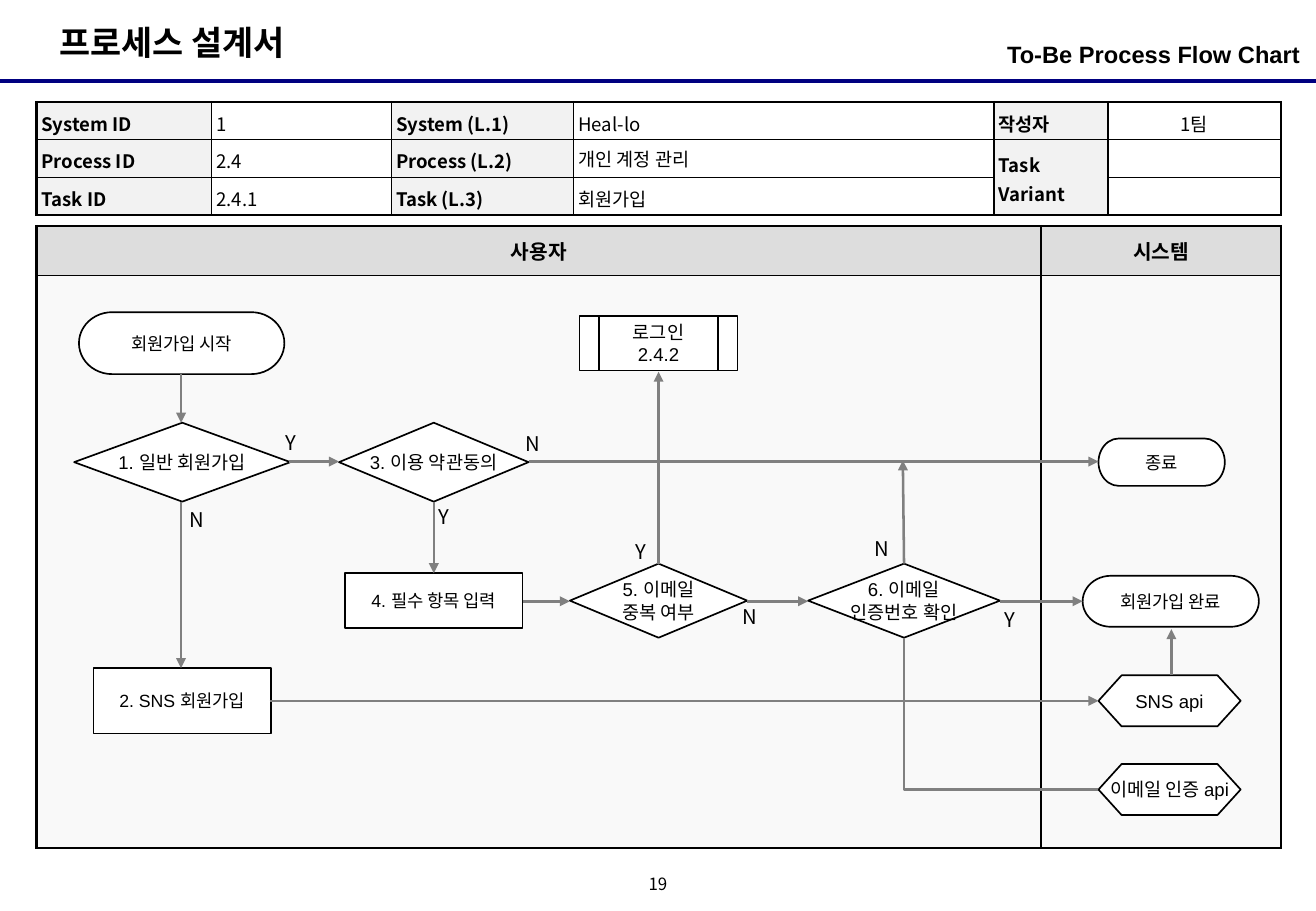
from typing import NamedTuple

import pptx
import pptx.dml.color
import pptx.enum.shapes
import pptx.enum.text
import pptx.oxml
import pptx.oxml.ns
import pptx.util

Inches = pptx.util.Inches
Pt = pptx.util.Pt
RGBColor = pptx.dml.color.RGBColor
Shape = pptx.enum.shapes.MSO_SHAPE
Align = pptx.enum.text.PP_ALIGN
Anchor = pptx.enum.text.MSO_ANCHOR
qn = pptx.oxml.ns.qn

BLACK = RGBColor(0x00, 0x00, 0x00)
WHITE = RGBColor(0xFF, 0xFF, 0xFF)
NAVY = RGBColor(0x00, 0x00, 0x80)
GRAY = RGBColor(0x80, 0x80, 0x80)
LABEL_FILL = RGBColor(0xF2, 0xF2, 0xF2)
LANE_HEADER = RGBColor(0xDD, 0xDD, 0xDD)
LANE_BODY = RGBColor(0xF9, 0xF9, 0xF9)
KOREAN = "Noto Sans CJK KR"
LATIN = "Arial"


class Node(NamedTuple):
    kind: int
    left: float
    top: float
    width: float
    height: float
    text: str
    size: float = 11


class Label(NamedTuple):
    text: str
    left: float
    top: float


class Arrow(NamedTuple):
    x1: float
    y1: float
    x2: float
    y2: float


NODES = [
    Node(Shape.FLOWCHART_TERMINATOR, 0.65, 2.57, 1.69, 0.51, "회원가입 시작", 10.5),
    Node(Shape.FLOWCHART_DECISION, 0.61, 3.48, 1.78, 0.65, "1. 일반 회원가입"),
    Node(Shape.RECTANGLE, 0.77, 5.5, 1.46, 0.54, "2. SNS 회원가입", 10.5),
    Node(Shape.FLOWCHART_DECISION, 2.79, 3.48, 1.56, 0.65, "3. 이용 약관동의"),
    Node(Shape.RECTANGLE, 2.84, 4.72, 1.46, 0.45, "4. 필수 항목 입력", 10.5),
    Node(Shape.FLOWCHART_DECISION, 4.69, 4.64, 1.46, 0.61, "5. 이메일\n중복 여부"),
    Node(Shape.FLOWCHART_DECISION, 6.65, 4.64, 1.58, 0.61, "6. 이메일\n인증번호 확인"),
    Node(Shape.FLOWCHART_TERMINATOR, 9.04, 3.61, 1.04, 0.39, "종료", 10.5),
    Node(Shape.FLOWCHART_TERMINATOR, 8.91, 4.74, 1.45, 0.42, "회원가입 완료", 10.5),
    Node(Shape.HEXAGON, 9.04, 5.56, 1.17, 0.42, "SNS api"),
    Node(Shape.HEXAGON, 9.04, 6.29, 1.17, 0.42, "이메일 인증 api"),
]
LOGIN = Node(Shape.FLOWCHART_PREDEFINED_PROCESS, 4.77, 2.6, 1.3, 0.45, "로그인\n2.4.2")
LABELS = [
    Label("Y", 2.25, 3.49), Label("N", 1.46, 4.13),
    Label("N", 4.23, 3.5), Label("Y", 3.51, 4.1),
    Label("Y", 5.13, 4.39), Label("N", 6.01, 4.93),
    Label("N", 7.1, 4.37), Label("Y", 8.17, 4.95),
]
ARROWS = [
    Arrow(1.49, 3.08, 1.49, 3.48), Arrow(1.49, 4.13, 1.49, 5.5),
    Arrow(2.38, 3.8, 2.79, 3.8), Arrow(4.35, 3.8, 9.04, 3.8),
    Arrow(3.57, 4.13, 3.57, 4.72), Arrow(4.3, 4.95, 4.69, 4.95),
    Arrow(6.15, 4.95, 6.65, 4.95), Arrow(8.23, 4.95, 8.91, 4.95),
    Arrow(2.22, 5.77, 9.04, 5.77), Arrow(9.64, 5.56, 9.64, 5.18),
    Arrow(5.42, 4.64, 5.42, 3.06), Arrow(7.44, 4.64, 7.43, 3.79),
]
INFO = [
    ["System ID", "1", "System (L.1)", "Heal-lo", "작성자", "1팀"],
    ["Process ID", "2.4", "Process (L.2)", "개인 계정 관리", "Task Variant", ""],
    ["Task ID", "2.4.1", "Task (L.3)", "회원가입", "", ""],
]


def format_text(frame, size: float, font: str = KOREAN, bold: bool = False,
                align: int = Align.LEFT) -> None:
    for paragraph in frame.paragraphs:
        paragraph.alignment = align
        for run in paragraph.runs:
            run.font.size = Pt(size)
            run.font.name = font
            run.font.bold = bold
            run.font.color.rgb = BLACK
            east_asian = pptx.oxml.parse_xml(
                f'<a:ea {pptx.oxml.ns.nsdecls("a")} typeface="{KOREAN}"/>')
            run.font._element.find(qn("a:latin")).addnext(east_asian)


def set_margins(target, side: float, vertical: float) -> None:
    target.margin_left = target.margin_right = Inches(side)
    target.margin_top = target.margin_bottom = Inches(vertical)


def add_text(slide, left: float, top: float, width: float, height: float, text: str,
             size: float, wrap: bool = True, **style):
    frame = slide.shapes.add_textbox(
        Inches(left), Inches(top), Inches(width), Inches(height)).text_frame
    frame.word_wrap = wrap
    frame.text = text
    format_text(frame, size, **style)
    return frame


def add_line(slide, line: Arrow, color: RGBColor, width: float, arrow: bool = True) -> None:
    connector = slide.shapes.add_connector(
        pptx.enum.shapes.MSO_CONNECTOR.STRAIGHT,
        Inches(line.x1), Inches(line.y1), Inches(line.x2), Inches(line.y2))
    connector.line.color.rgb = color
    connector.line.width = Pt(width)
    properties = connector._element.spPr
    if arrow:
        properties.find(qn("a:ln")).append(pptx.oxml.parse_xml(
            f'<a:tailEnd {pptx.oxml.ns.nsdecls("a")} type="triangle"/>'))
    properties.append(pptx.oxml.parse_xml(f'<a:effectLst {pptx.oxml.ns.nsdecls("a")}/>'))


def add_node(slide, node: Node) -> None:
    shape = slide.shapes.add_shape(node.kind, Inches(node.left), Inches(node.top),
                                   Inches(node.width), Inches(node.height))
    shape.shadow.inherit = False
    shape.fill.solid()
    shape.fill.fore_color.rgb = WHITE
    shape.line.color.rgb = BLACK
    shape.line.width = Pt(1)
    if node.kind == Shape.HEXAGON:
        shape.adjustments[0] = 0.453
    frame = shape.text_frame
    frame.word_wrap = node.kind not in (Shape.FLOWCHART_DECISION, Shape.HEXAGON)
    frame.vertical_anchor = Anchor.MIDDLE
    set_margins(frame, 0.02, 0)
    frame.text = node.text
    format_text(frame, node.size, LATIN, align=Align.CENTER)


def add_grid(slide, left: float, top: float, columns: list[float], rows: list[float],
             inner: float):
    table = slide.shapes.add_table(
        len(rows), len(columns), Inches(left), Inches(top),
        Inches(sum(columns)), Inches(sum(rows))).table
    table.first_row = table.horz_banding = False
    for column, width in zip(table.columns, columns):
        column.width = Inches(width)
    for row, height in zip(table.rows, rows):
        row.height = Inches(height)
    # Thick frame, thinner inner rules
    for r in range(len(rows)):
        for c in range(len(columns)):
            edges = {"L": c == 0, "R": c == len(columns) - 1,
                     "T": r == 0, "B": r == len(rows) - 1}
            properties = table.cell(r, c)._tc.get_or_add_tcPr()
            for side, outer in edges.items():
                thick = outer or (len(columns) == 2 and side in "LR")
                properties.append(pptx.oxml.parse_xml(
                    f'<a:ln{side} {pptx.oxml.ns.nsdecls("a")} w="{Pt(1.5 if thick else inner)}">'
                    f'<a:solidFill><a:srgbClr val="{BLACK}"/></a:solidFill></a:ln{side}>'))
    return table


def fill_cell(cell, color: RGBColor) -> None:
    cell.fill.solid()
    cell.fill.fore_color.rgb = color


def add_lanes(slide) -> None:
    table = add_grid(slide, 0.3, 1.86, [8.27, 1.97], [0.41, 4.71], 0.75)
    for c, title in enumerate(["사용자", "시스템"]):
        header = table.cell(0, c)
        header.text_frame.text = title
        header.vertical_anchor = Anchor.MIDDLE
        format_text(header.text_frame, 12, bold=True, align=Align.CENTER)
        fill_cell(header, LANE_HEADER)
        fill_cell(table.cell(1, c), LANE_BODY)


def add_info(slide) -> None:
    table = add_grid(slide, 0.3, 0.84, [1.44, 1.48, 1.5, 3.46, 0.94, 1.42], [0.31] * 3, 1)
    for r, values in enumerate(INFO):
        for c, value in enumerate(values):
            cell = table.cell(r, c)
            is_label = c % 2 == 0
            fill_cell(cell, LABEL_FILL if is_label else WHITE)
            set_margins(cell, 0.04, 0.04)
            cell.vertical_anchor = Anchor.MIDDLE if c >= 4 else Anchor.TOP
            cell.text_frame.text = value
            format_text(cell.text_frame, 11, bold=is_label,
                        align=Align.CENTER if c == 5 else Align.LEFT)
            paragraph = cell.text_frame.paragraphs[0]
            if value != "개인 계정 관리":
                paragraph.line_spacing = 1.1
                paragraph.space_after = Pt(0.5)
            if not value:
                paragraph._p.get_or_add_endParaRPr().set("sz", "1100")
    table.cell(1, 4).merge(table.cell(2, 4))


def main() -> None:
    presentation = pptx.Presentation()
    presentation.slide_width = Inches(10.83)
    presentation.slide_height = Inches(7.5)
    slide = presentation.slides.add_slide(presentation.slide_layouts[6])

    # Header and page number
    add_line(slide, Arrow(0, 0.67, 10.83, 0.67), NAVY, 2.25, arrow=False)
    add_text(slide, 0.39, 0.13, 2.26, 0.44, "프로세스 설계서", 20, wrap=False, bold=True)
    page = add_text(slide, 5.25, 7.17, 0.33, 0.25, "19", 10, wrap=False, align=Align.CENTER)
    page.vertical_anchor = Anchor.MIDDLE
    page.paragraphs[0].line_spacing = 0.8
    set_margins(page, 0, 0)
    subtitle = add_text(slide, 7.39, 0.28, 3.31, 0.39, "To-Be Process Flow Chart", 14,
                        font=LATIN, bold=True, align=Align.RIGHT)
    set_margins(subtitle, 0, 0.05)

    # Tables
    add_lanes(slide)
    add_info(slide)

    # Flow chart
    for node in NODES:
        add_node(slide, node)
    for label in LABELS:
        add_text(slide, label.left, label.top, 0.87, 0.3, label.text, 12)
    for arrow in ARROWS:
        add_line(slide, arrow, GRAY, 1.5)
    add_node(slide, LOGIN)

    # Elbow from the e-mail check to its api
    builder = slide.shapes.build_freeform(Inches(7.44), Inches(5.25))
    builder.add_line_segments(
        [(Inches(7.44), Inches(6.5)), (Inches(9.04), Inches(6.5))], close=False)
    elbow = builder.convert_to_shape()
    elbow.shadow.inherit = False
    elbow.fill.background()
    elbow.line.color.rgb = GRAY
    elbow.line.width = Pt(1.5)

    presentation.save("out.pptx")


if __name__ == "__main__":
    main()
